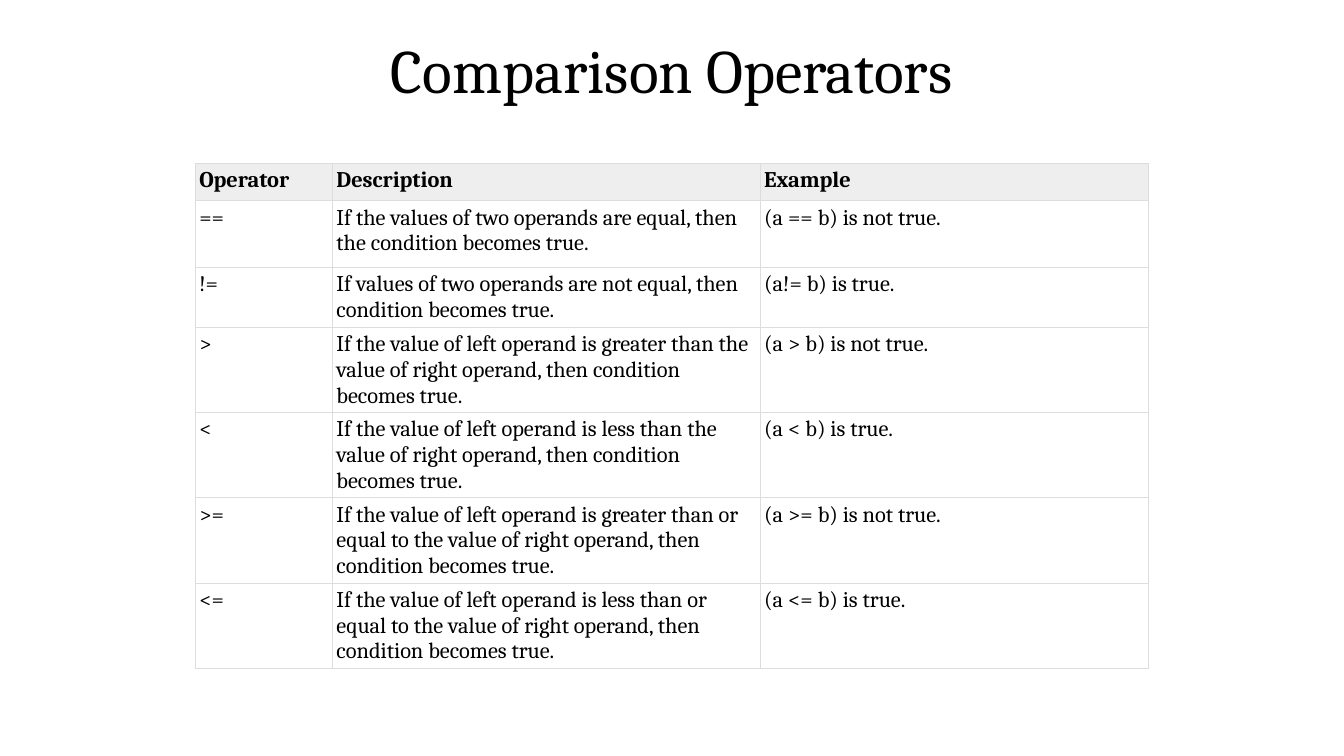
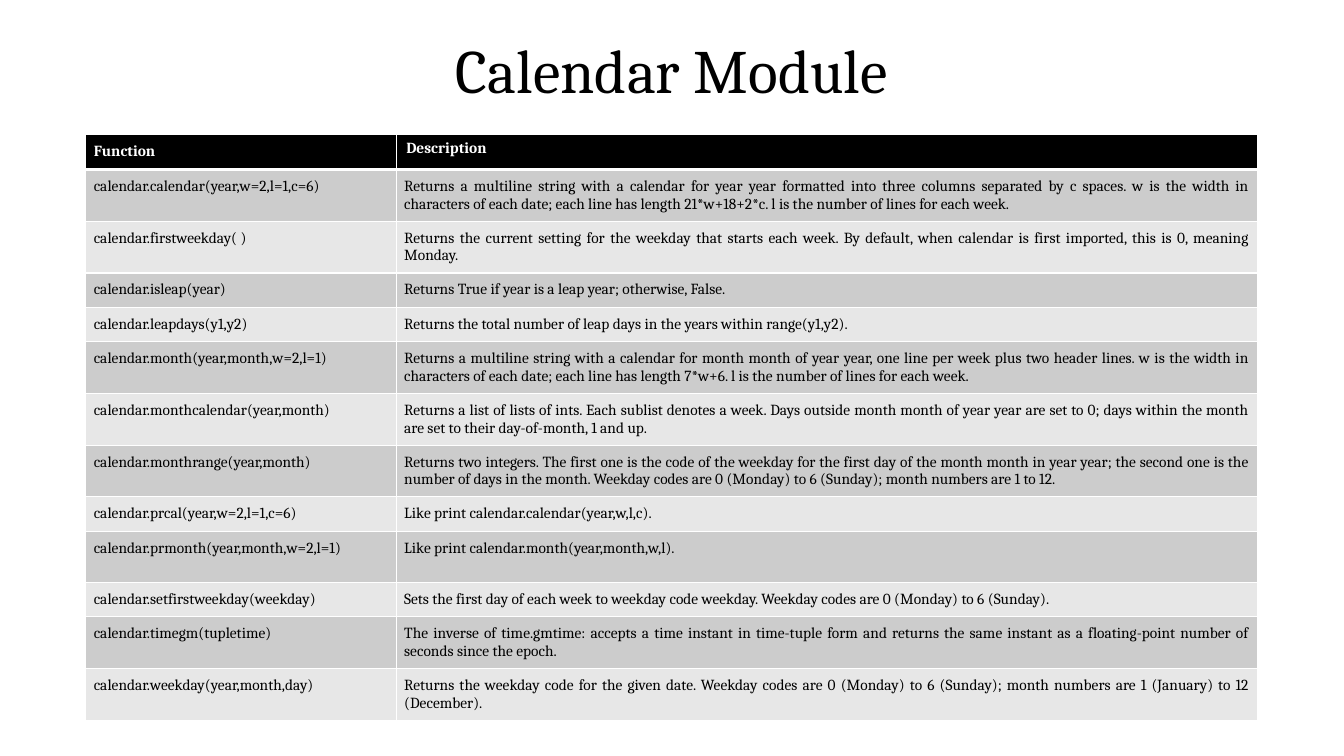
from lxml.etree import SubElement
from pptx import Presentation
from pptx.dml.color import RGBColor
from pptx.enum.text import MSO_ANCHOR, PP_ALIGN
from pptx.oxml.ns import qn
from pptx.util import Pt

COLORS = {
    "black": "000000",
    "white": "FFFFFF",
    "head": "EEEEEE",
    "rule": "DDDDDD",
    "dark": "CCCCCC",
    "light": "E7E7E7",
}
FONT = "Cambria"
WIDTH, HEIGHT = 960, 540

COMPARE = [
    ("Operator", "Description", "Example"),
    ("==", "If the values of two operands are equal, then the condition becomes true.",
     "(a == b) is not true."),
    ("!=", "If values of two operands are not equal, then condition becomes true.",
     "(a!= b) is true."),
    (">", "If the value of left operand is greater than the value of right operand, "
     "then condition becomes true.", "(a > b) is not true."),
    ("<", "If the value of left operand is less than the value of right operand, "
     "then condition becomes true.", "(a < b) is true."),
    (">=", "If the value of left operand is greater than or equal to the value of "
     "right operand, then condition becomes true.", "(a >= b) is not true."),
    ("<=", "If the value of left operand is less than or equal to the value of "
     "right operand, then condition becomes true.", "(a <= b) is true."),
]

CALENDAR = [
    ("Function", "Description"),
    ("calendar.calendar(year,w=2,l=1,c=6)",
     "Returns a multiline string with a calendar for year year formatted into three "
     "columns separated by c spaces. w is the width in characters of each date; each "
     "line has length 21*w+18+2*c. l is the number of lines for each week."),
    ("calendar.firstweekday( )",
     "Returns the current setting for the weekday that starts each week. By default, "
     "when calendar is first imported, this is 0, meaning Monday."),
    ("calendar.isleap(year)", "Returns True if year is a leap year; otherwise, False."),
    ("calendar.leapdays(y1,y2)",
     "Returns the total number of leap days in the years within range(y1,y2)."),
    ("calendar.month(year,month,w=2,l=1)",
     "Returns a multiline string with a calendar for month month of year year, one line "
     "per week plus two header lines. w is the width in characters of each date; each "
     "line has length 7*w+6. l is the number of lines for each week."),
    ("calendar.monthcalendar(year,month)",
     "Returns a list of lists of ints. Each sublist denotes a week. Days outside month "
     "month of year year are set to 0; days within the month are set to their "
     "day-of-month, 1 and up."),
    ("calendar.monthrange(year,month)",
     "Returns two integers. The first one is the code of the weekday for the first day "
     "of the month month in year year; the second one is the number of days in the "
     "month. Weekday codes are 0 (Monday) to 6 (Sunday); month numbers are 1 to 12."),
    ("calendar.prcal(year,w=2,l=1,c=6)", "Like print calendar.calendar(year,w,l,c)."),
    ("calendar.prmonth(year,month,w=2,l=1)", "Like print calendar.month(year,month,w,l)."),
    ("calendar.setfirstweekday(weekday)",
     "Sets the first day of each week to weekday code weekday. Weekday codes are "
     "0 (Monday) to 6 (Sunday)."),
    ("calendar.timegm(tupletime)",
     "The inverse of time.gmtime: accepts a time instant in time-tuple form and returns "
     "the same instant as a floating-point number of seconds since the epoch."),
    ("calendar.weekday(year,month,day)",
     "Returns the weekday code for the given date. Weekday codes are 0 (Monday) to "
     "6 (Sunday); month numbers are 1 (January) to 12 (December)."),
]


def write(frame, text, size, color="black", bold=False, align=PP_ALIGN.LEFT, space=None):
    frame.word_wrap = True
    para = frame.paragraphs[0]
    para.alignment = align
    para.line_spacing = space
    run = para.add_run()
    run.text = text
    font = run.font
    font.name, font.size, font.bold = FONT, Pt(size), bold
    font.color.rgb = RGBColor.from_string(COLORS[color])


def pad(cell, left, top):
    cell.margin_left = cell.margin_right = Pt(left)
    cell.margin_top = cell.margin_bottom = Pt(top)


def paint(cell, color):
    if color:
        cell.fill.solid()
        cell.fill.fore_color.rgb = RGBColor.from_string(COLORS[color])
    else:
        cell.fill.background()


def edge(cell, color, width, **wide):
    """Draw the four borders; wide gives another width for a side: L, R, T or B."""
    props = cell._tc.get_or_add_tcPr()
    for i, side in enumerate("LRTB"):
        line = SubElement(props, qn("a:ln" + side), w=str(Pt(wide.get(side, width))))
        fill = SubElement(line, qn("a:solidFill"))
        SubElement(fill, qn("a:srgbClr"), val=COLORS[color])
        props.insert(i, line)


def titled(deck, text):
    slide = deck.slides.add_slide(deck.slide_layouts[5])
    title = slide.shapes.title
    title.left, title.top, title.width, title.height = 0, 0, Pt(WIDTH), Pt(104.4)
    title.text_frame.vertical_anchor = MSO_ANCHOR.MIDDLE
    write(title.text_frame, text, 44, align=PP_ALIGN.CENTER, space=0.9)
    return slide


def grid(slide, left, top, cols, rows):
    """Add a plain table with the given column widths and row heights."""
    frame = slide.shapes.add_table(len(rows), len(cols), Pt(left), Pt(top),
                                   Pt(sum(cols)), Pt(sum(rows)))
    table = frame.table
    table.horz_banding = False
    for col, width in zip(table.columns, cols):
        col.width = Pt(width)
    for row, height in zip(table.rows, rows):
        row.height = Pt(height)
    return table


def compare(slide, left, top):
    table = grid(slide, left, top, [98, 305.5, 277.5], [26.75, 47.5, 43] + [60.5] * 4)
    for r, row in enumerate(COMPARE):
        for c, text in enumerate(row):
            cell = table.cell(r, c)
            pad(cell, 2.88, 2.88)
            write(cell.text_frame, text, 16, bold=r == 0)
            paint(cell, None if r else "head")
            edge(cell, "rule", 0.75)


def calendar(slide, left, top):
    one, two = 24.5, 37
    rows = [25, two, two, one, one, two, two, two, one, 36.5, one, two, two]
    table = grid(slide, left, top, [221.75, 615.6], rows)
    for r, row in enumerate(CALENDAR):
        for c, text in enumerate(row):
            cell = table.cell(r, c)
            if r == 0:
                pad(cell, *[(5.75, 5.75), (7.2, 3.6)][c])
                write(cell.text_frame, text, 11, color="white", bold=True)
                paint(cell, "black")
                edge(cell, "white", 1, B=3)
            else:
                pad(cell, 5.75, 5.75)
                write(cell.text_frame, text, 11,
                      align=PP_ALIGN.JUSTIFY if c else PP_ALIGN.LEFT)
                paint(cell, "dark" if r % 2 else "light")
                edge(cell, "white", 1, T=3 if r == 1 else 1)


def main():
    deck = Presentation()
    deck.slide_width, deck.slide_height = Pt(WIDTH), Pt(HEIGHT)
    compare(titled(deck, "Comparison Operators"), 139.5, 116.75)
    calendar(titled(deck, "Calendar Module"), 61.25, 96)
    deck.save("out.pptx")


if __name__ == "__main__":
    main()
